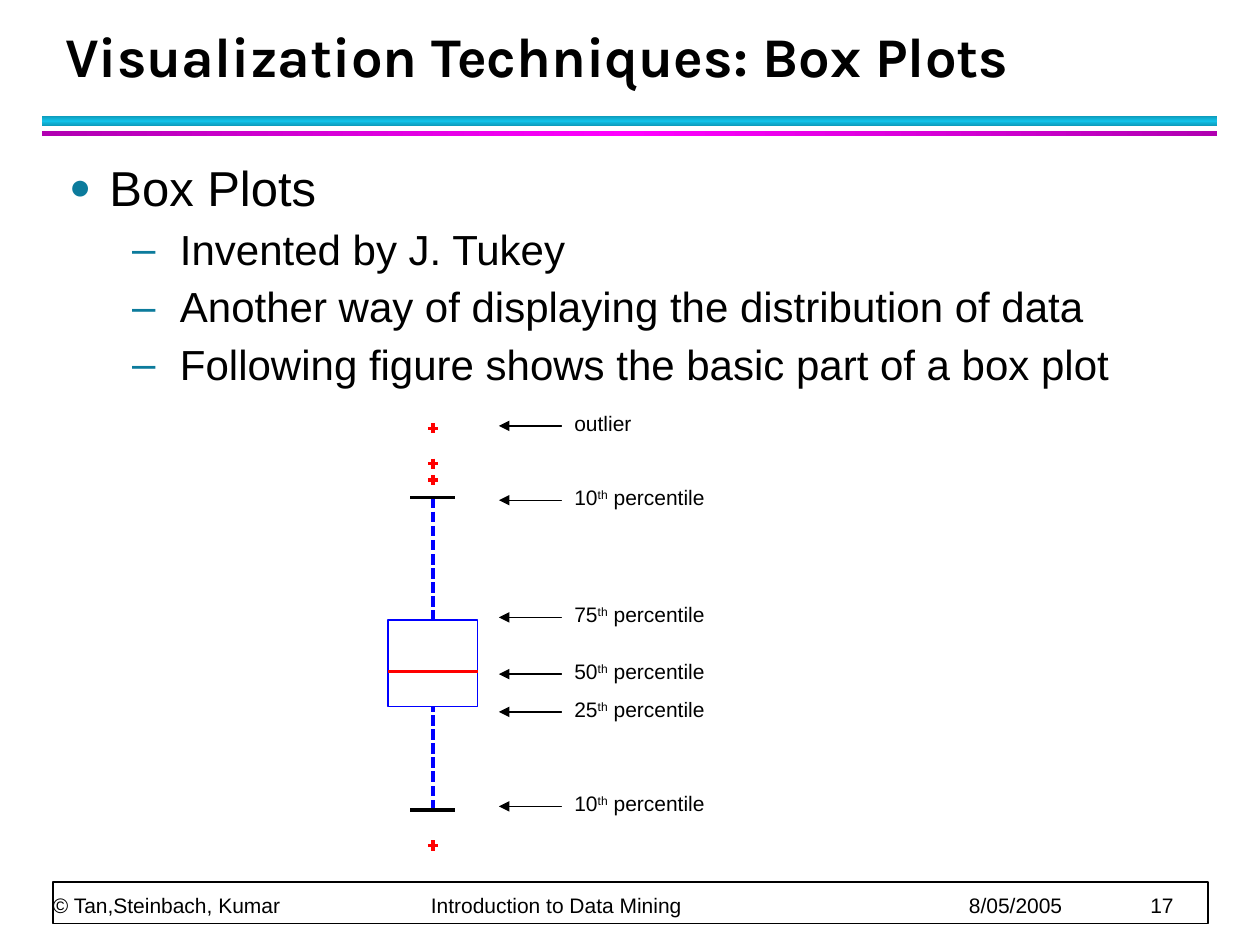
from copy import deepcopy

from lxml import etree
from pptx import Presentation
from pptx.dml.color import RGBColor
from pptx.enum import shapes, text
from pptx.oxml.ns import qn
from pptx.util import Inches, Pt

BLACK, WHITE, RED, BLUE, TEAL = "000000", "FFFFFF", "FF0000", "0000FF", "0C7B9C"


def rgb(value):
    """Turn a hex string into a colour."""
    return RGBColor.from_string(value)


def add_rect(slide, box, fill=None, line=None, width=0):
    """Add a flat rectangle with optional fill and outline."""
    sp = slide.shapes.add_shape(shapes.MSO_SHAPE.RECTANGLE, *map(Inches, box))
    sp.shadow.inherit = False
    if fill:
        sp.fill.solid()
        sp.fill.fore_color.rgb = rgb(fill)
    else:
        sp.fill.background()
    if line:
        sp.line.color.rgb = rgb(line)
        sp.line.width = Pt(width)
    else:
        sp.line.fill.background()
    return sp


def add_line(slide, start, end, color, width=0):
    """Add a straight connector without a shadow."""
    cxn = slide.shapes.add_connector(
        shapes.MSO_CONNECTOR.STRAIGHT, *map(Inches, (*start, *end)))
    cxn.line.color.rgb = rgb(color)
    cxn.line.width = Pt(width)
    etree.SubElement(cxn._element.spPr, qn("a:effectLst"))
    return cxn


def set_font(p, size, name="Arial", bold=False):
    """Set the font of a whole paragraph."""
    p.font.size, p.font.name, p.font.bold = Pt(size), name, bold
    p.font.color.rgb = rgb(BLACK)


def add_text(slide, box, anchor=text.MSO_ANCHOR.TOP):
    """Add a wrapping text box and return its frame."""
    tf = slide.shapes.add_textbox(*map(Inches, box)).text_frame
    tf.word_wrap = True
    tf.vertical_anchor = anchor
    return tf


def add_bullet(p, char, left, indent, size):
    """Give a paragraph a coloured bullet and a hanging indent."""
    pPr = p._p.get_or_add_pPr()
    pPr.set("marL", str(Inches(left)))
    pPr.set("indent", str(Inches(indent)))
    parts = [etree.Element(qn(f"a:{tag}")) for tag in ("buClr", "buSzPct", "buFont", "buChar")]
    etree.SubElement(parts[0], qn("a:srgbClr"), val=TEAL)
    parts[1].set("val", str(size * 1000))
    parts[2].set("typeface", "Arial")
    parts[3].set("char", char)
    for i, part in enumerate(parts):
        pPr.find(qn("a:defRPr")).addprevious(part)


def add_gradient_bar(slide, box, edge, middle, angle):
    """Draw a bar that shades from edge to middle and back."""
    sp = add_rect(slide, box)
    sp.fill.gradient()
    sp.fill.gradient_angle = angle
    stops = sp._element.spPr.find(f".//{qn('a:gsLst')}")
    stops.append(deepcopy(stops[-1]))
    for stop, color, position in zip(sp.fill.gradient_stops, (edge, middle, edge), (0, 0.5, 1)):
        stop.color.rgb = rgb(color)
        stop.position = position


def add_title(slide, box):
    """Write the slide title."""
    p = add_text(slide, box, text.MSO_ANCHOR.BOTTOM).paragraphs[0]
    p.text = "Visualization Techniques: Box Plots"
    p.line_spacing = Pt(36)
    set_font(p, 32, "Karla", True)


def add_rules(slide, box):
    """Draw the two bars below the title."""
    left, top, width, height = box
    add_gradient_bar(slide, (left, top, width, 0.08), "0E9AB9", "12C2E9", 90)
    add_gradient_bar(slide, (left, top + height - 0.04, width, 0.04), "B100B1", "FF00FF", 0)


def add_body(slide, box):
    """Write the heading bullet and its sub-bullets."""
    tf = add_text(slide, box)
    lines = ("Box Plots", "Invented by J. Tukey",
             "Another way of displaying the distribution of data",
             "Following figure shows the basic part of a box plot")
    for i, line in enumerate(lines):
        p = tf.add_paragraph() if i else tf.paragraphs[0]
        p.text = line
        p.level = 1 if i else 0
        p.line_spacing = 0.9
        p.space_before, p.space_after = Pt(3 if i else 3.5), Pt(4)
        set_font(p, 24 if i else 28)
        add_bullet(p, *(("–", 0.88, -0.38, 100) if i else ("●", 0.32, -0.32, 75)))


def add_label(slide, x, y, words, width, height):
    """Point an arrow left from a label, with any ordinal raised."""
    arrow = add_line(slide, (x, y), (x + 0.5, y), BLACK, 0.75)
    etree.SubElement(arrow.line._get_or_add_ln(), qn("a:headEnd"), type="triangle")
    sp = add_rect(slide, (x + 0.5, y - 0.15, width, height), WHITE)
    tf = sp.text_frame
    tf.vertical_anchor = text.MSO_ANCHOR.TOP
    p = tf.paragraphs[0]
    p.alignment = text.PP_ALIGN.LEFT
    p.line_spacing, p.space_after = 0.9, Pt(4)
    set_font(p, 12)
    for word in words:
        r = p.add_run()
        r.text = word
        if word == "th":
            r.font._element.set("baseline", "30000")


def add_box_plot(slide, box):
    """Draw the box, whiskers, outliers and labels."""
    left, top, width, height = box
    x, bottom = left + width / 2, top + height
    body = add_rect(slide, (left, top + 1.56, width, 0.69), line=BLUE)
    for y, side in ((top + 0.59, 0), (bottom - 0.32, 2)):
        whisker = add_line(slide, (x, y), (x, y), BLUE)
        whisker.end_connect(body, side)
        whisker.line.dash_style = 3 and DASH
        add_line(slide, (x - 0.18, y), (x + 0.18, y), BLACK)
    add_line(slide, (left, top + 1.97), (left + width, top + 1.97), RED)
    for y in (top + 0.04, top + 0.32, top + 0.45, bottom - 0.04):
        add_line(slide, (x - 0.04, y), (x + 0.04, y), RED)
        add_line(slide, (x, y - 0.04), (x, y + 0.04), RED)
    add_label(slide, 3.96, top + 0.02, ("outlier",), 0.75, 0.25)
    for number, y in (("10", 6.4), ("25", 5.65), ("75", 4.9), ("50", 5.35), ("10", 3.97)):
        add_label(slide, 3.96, y, (number, "th", " percentile"), 1.37, 0.37)


def add_footer(slide, box):
    """Draw the footer frame and its tabbed line."""
    left, top, width, height = box
    add_rect(slide, box, WHITE, BLACK, 1)
    tf = add_text(slide, (left, top - 0.28, width, 0.56), text.MSO_ANCHOR.BOTTOM)
    tf.margin_left = tf.margin_top = tf.margin_right = tf.margin_bottom = 0
    p = tf.paragraphs[0]
    for i, words in enumerate(("© Tan,Steinbach, Kumar", "Introduction to Data Mining",
                               "8/05/2005", "17")):
        p.add_run().text = "\t" * bool(i) + words
    p.line_spacing = Pt(20)
    set_font(p, 12)
    tabs = etree.Element(qn("a:tabLst"))
    for stop in (3, 7.27, 8.71):
        etree.SubElement(tabs, qn("a:tab"), pos=str(Inches(stop)), algn="l")
    p._p.pPr.find(qn("a:defRPr")).addprevious(tabs)


from pptx.enum.dml import MSO_LINE

DASH = MSO_LINE.SQUARE_DOT


def main():
    """Build the slide and save it."""
    prs = Presentation()
    prs.slide_width, prs.slide_height = Inches(10), Inches(7.5)
    slide = prs.slides.add_slide(prs.slide_layouts[6])
    add_rules(slide, (0.33, 0.92, 9.33, 0.16))
    add_footer(slide, (0.42, 7, 9.17, 0.33))
    add_title(slide, (0.42, 0.17, 9.06, 0.58))
    add_body(slide, (0.45, 1.25, 9.22, 2))
    add_box_plot(slide, (3.08, 3.36, 0.71, 3.39))
    prs.save("out.pptx")


if __name__ == "__main__":
    main()
